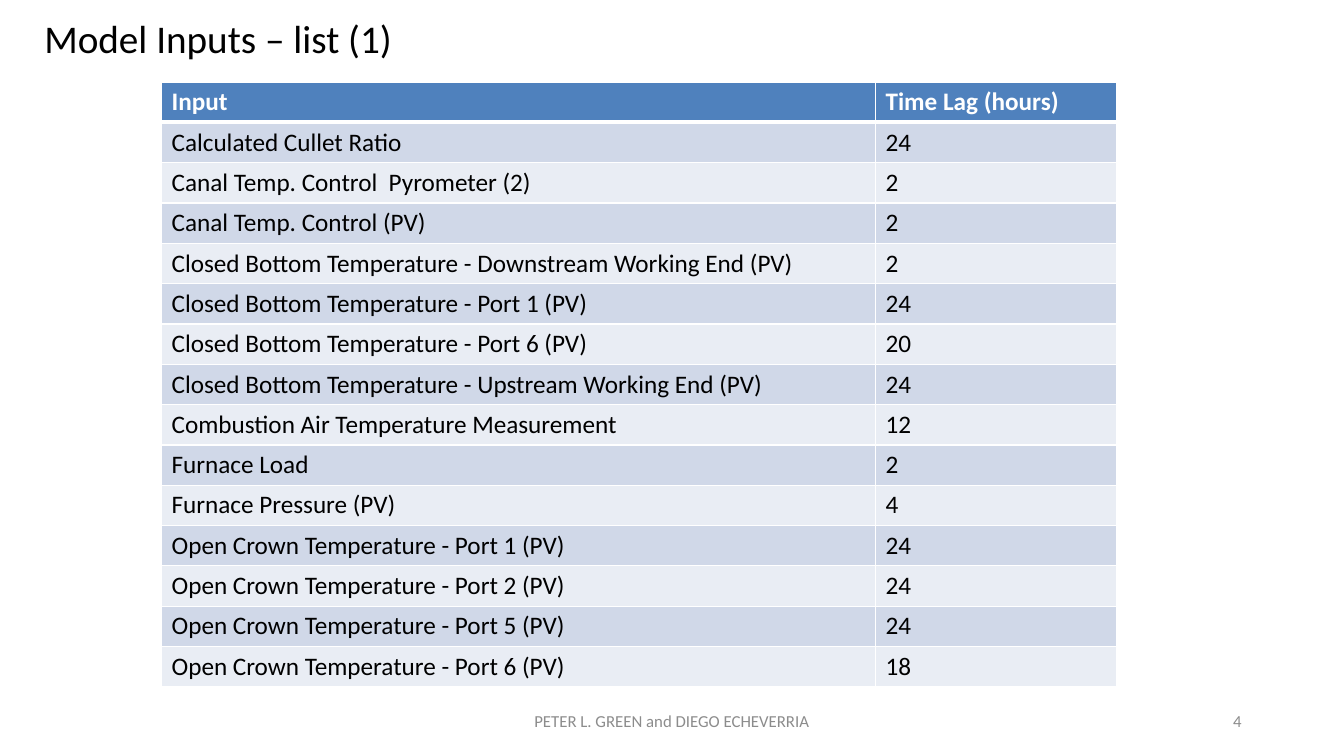
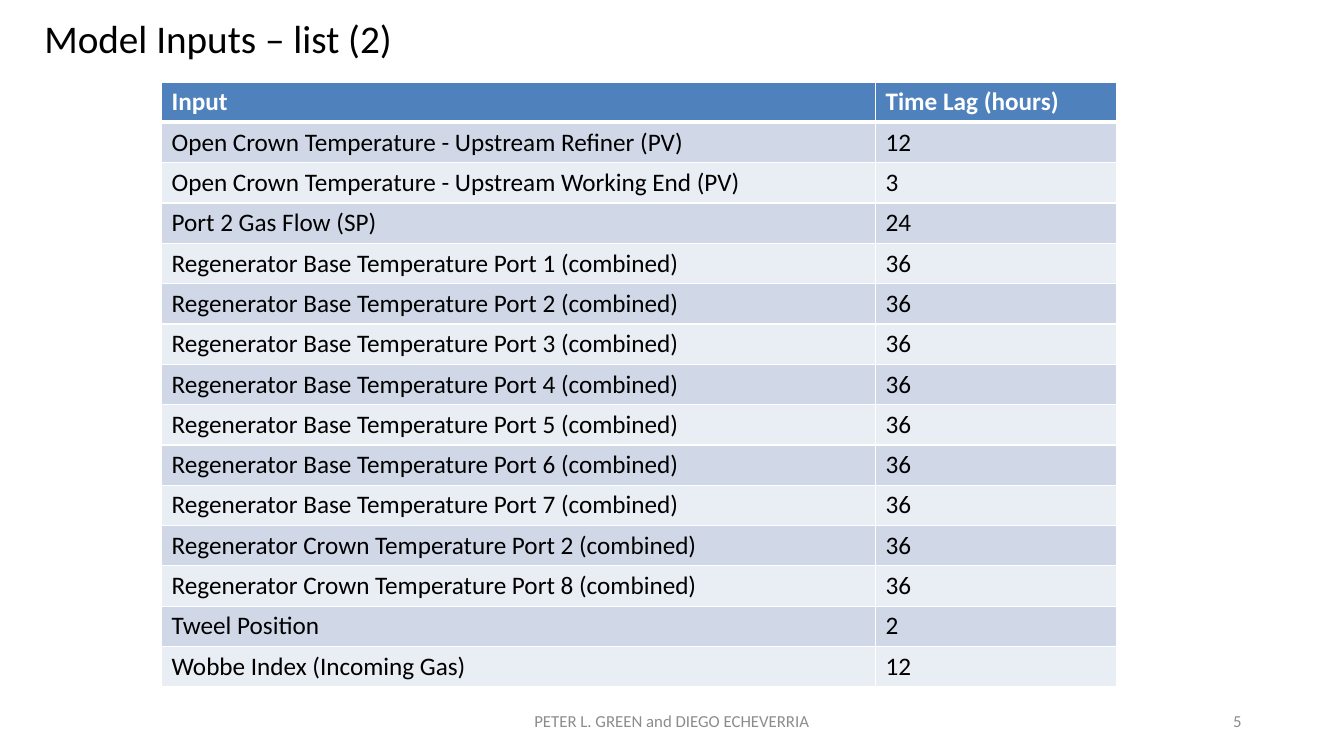
from lxml.etree import SubElement
from pptx import Presentation
from pptx.dml.color import RGBColor
from pptx.enum.text import MSO_ANCHOR, MSO_AUTO_SIZE, PP_ALIGN
from pptx.oxml.ns import qn
from pptx.util import Pt

FONT = "Calibri"
BLACK, WHITE, GREY = "000000", "FFFFFF", "8C8C8C"
HEAD, BANDS = "4F81BD", ("D0D8E8", "E9EDF4")

FOOTER = "PETER L. GREEN and DIEGO ECHEVERRIA"
FIRST = 4
HEADER = ("Input", "Time Lag (hours)")
SLIDES = [
    ("Model Inputs – list (1)", [
        ("Calculated Cullet Ratio", 24),
        ("Canal Temp. Control  Pyrometer (2)", 2),
        ("Canal Temp. Control (PV)", 2),
        ("Closed Bottom Temperature - Downstream Working End (PV)", 2),
        ("Closed Bottom Temperature - Port 1 (PV)", 24),
        ("Closed Bottom Temperature - Port 6 (PV)", 20),
        ("Closed Bottom Temperature - Upstream Working End (PV)", 24),
        ("Combustion Air Temperature Measurement", 12),
        ("Furnace Load", 2),
        ("Furnace Pressure (PV)", 4),
        ("Open Crown Temperature - Port 1 (PV)", 24),
        ("Open Crown Temperature - Port 2 (PV)", 24),
        ("Open Crown Temperature - Port 5 (PV)", 24),
        ("Open Crown Temperature - Port 6 (PV)", 18),
    ]),
    ("Model Inputs – list (2)", [
        ("Open Crown Temperature - Upstream Refiner (PV)", 12),
        ("Open Crown Temperature - Upstream Working End (PV)", 3),
        ("Port 2 Gas Flow (SP)", 24),
        ("Regenerator Base Temperature Port 1 (combined)", 36),
        ("Regenerator Base Temperature Port 2 (combined)", 36),
        ("Regenerator Base Temperature Port 3 (combined)", 36),
        ("Regenerator Base Temperature Port 4 (combined)", 36),
        ("Regenerator Base Temperature Port 5 (combined)", 36),
        ("Regenerator Base Temperature Port 6 (combined)", 36),
        ("Regenerator Base Temperature Port 7 (combined)", 36),
        ("Regenerator Crown Temperature Port 2 (combined)", 36),
        ("Regenerator Crown Temperature Port 8 (combined)", 36),
        ("Tweel Position", 2),
        ("Wobbe Index (Incoming Gas)", 12),
    ]),
]

COLS, ROW = (510, 172), 28.8
LEFT, TOP = 115.4, 58.6


def color(code):
    return RGBColor.from_string(code)


def write(frame, text, size, code, align=PP_ALIGN.LEFT, bold=False):
    frame.text = text
    para = frame.paragraphs[0]
    para.alignment = align
    font = para.runs[0].font
    font.name, font.size, font.bold = FONT, Pt(size), bold
    font.color.rgb = color(code)


def place(shape, *box):
    shape.left, shape.top, shape.width, shape.height = map(Pt, box)


def add_title(slide, text):
    title = slide.shapes.title
    place(title, 24.5, 6.5, 520.5, 41)
    frame = title.text_frame
    frame.auto_size = MSO_AUTO_SIZE.NONE
    frame.vertical_anchor = MSO_ANCHOR.TOP
    write(frame, text, 28, BLACK)


def add_note(slide, text, left, width, align):
    """Add one grey text of the footer line."""
    box = slide.shapes.add_textbox(Pt(left), Pt(500.5), Pt(width), Pt(28.8))
    frame = box.text_frame
    frame.word_wrap = True
    frame.vertical_anchor = MSO_ANCHOR.MIDDLE
    write(frame, text, 12, GREY, align)


def add_edges(cell, row):
    """Draw white cell borders, thick between header and body."""
    props = cell._tc.get_or_add_tcPr()
    thick = {(0, "B"), (1, "T")}
    for side in "LRTB":
        width = Pt(3 if (row, side) in thick else 1)
        line = SubElement(props, qn(f"a:ln{side}"), w=str(width))
        fill = SubElement(line, qn("a:solidFill"))
        SubElement(fill, qn("a:srgbClr"), val=WHITE)


def add_grid(slide, body):
    rows = [HEADER, *body]
    table = slide.shapes.add_table(
        len(rows), len(COLS), Pt(LEFT), Pt(TOP),
        Pt(sum(COLS)), Pt(ROW * len(rows))).table
    for col, width in zip(table.columns, COLS):
        col.width = Pt(width)
    for r, values in enumerate(rows):
        table.rows[r].height = Pt(ROW)
        head = r == 0
        for c, value in enumerate(values):
            cell = table.cell(r, c)
            cell.margin_top = cell.margin_bottom = Pt(3.4)
            add_edges(cell, r)
            cell.fill.solid()
            cell.fill.fore_color.rgb = color(HEAD if head else BANDS[(r - 1) % 2])
            write(cell.text_frame, str(value), 18,
                  WHITE if head else BLACK, bold=head)


def main():
    prs = Presentation()
    prs.slide_width, prs.slide_height = Pt(960), Pt(540)
    for number, (title, body) in enumerate(SLIDES, FIRST):
        slide = prs.slides.add_slide(prs.slide_layouts[5])
        add_note(slide, FOOTER, 318, 324, PP_ALIGN.CENTER)
        add_note(slide, str(number), 678, 216, PP_ALIGN.RIGHT)
        add_title(slide, title)
        add_grid(slide, body)
    prs.save("out.pptx")


if __name__ == "__main__":
    main()
